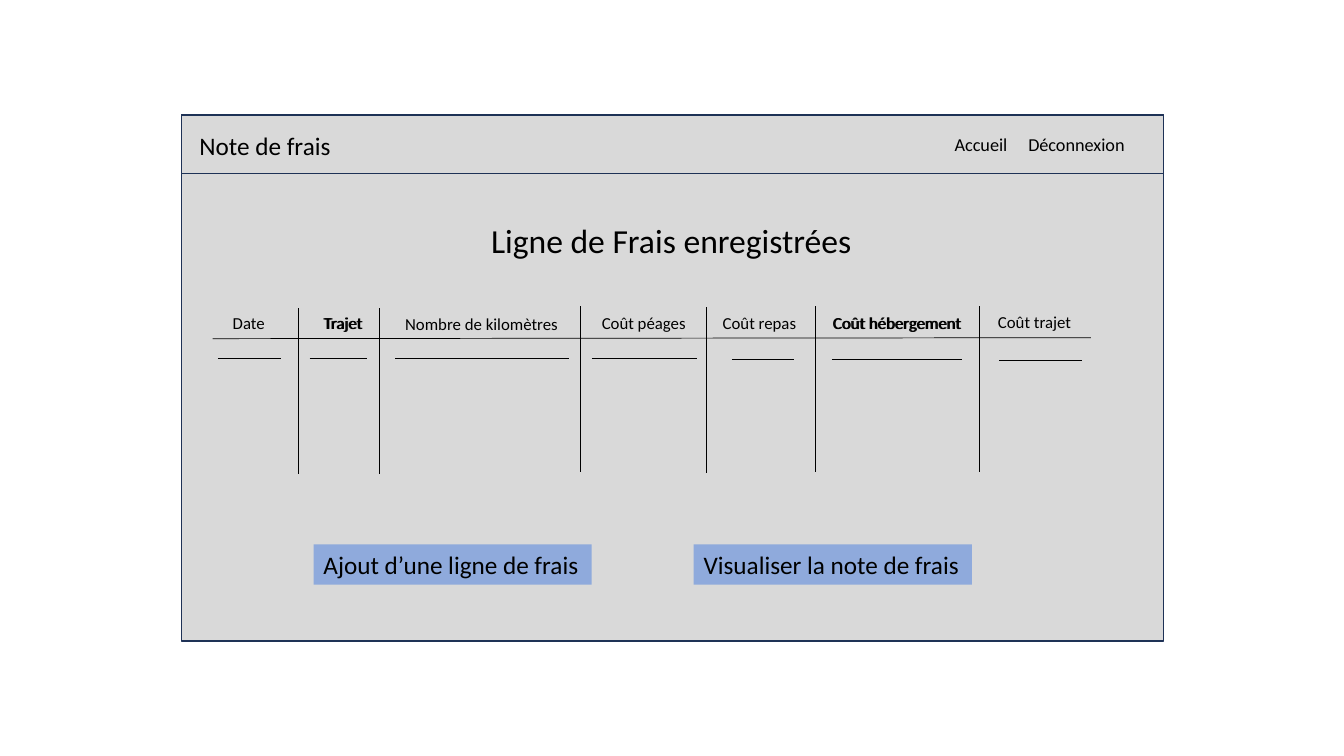
from pptx import Presentation
from pptx.dml.color import RGBColor
from pptx.enum import shapes, text
from pptx.oxml import ns, xmlchemy
from pptx.util import Inches, Pt

GREY = RGBColor(0xD9, 0xD9, 0xD9)
NAVY = RGBColor(0x1E, 0x32, 0x56)
BLUE = RGBColor(0x8F, 0xAA, 0xDC)
BLACK = RGBColor(0, 0, 0)

LABELS = [
    ("Date", 2.21, 3.05, 0.74),
    ("Trajet", 3.12, 3.05, 0.65),
    ("Trajet", 3.11, 3.05, 0.65),
    ("Nombre de kilomètres", 3.92, 3.06, 1.72),
    ("Coût péages", 5.87, 3.05, 1.05),
    ("Coût repas", 7.07, 3.05, 0.94),
    ("Coût hébergement", 8.17, 3.05, 1.48),
    ("Coût hébergement", 8.16, 3.05, 1.48),
    ("Coût trajet", 9.8, 3.04, 0.94),
]
RULES = [(2.96, 3.06), (3.76, 3.06), (5.76, 3.04),
         (7.01, 3.05), (8.09, 3.04), (9.71, 3.04)]
DASHES = [(2.16, 2.79, 3.56), (3.07, 3.64, 3.56), (3.92, 5.64, 3.56),
          (5.87, 6.91, 3.56), (7.26, 7.88, 3.57), (8.25, 9.54, 3.57),
          (9.91, 10.73, 3.58)]
RULE_H = 1.64


def write(shape, words, size):
    frame = shape.text_frame
    frame.text = words
    frame.word_wrap = True
    frame.auto_size = text.MSO_AUTO_SIZE.SHAPE_TO_FIT_TEXT
    frame.vertical_anchor = text.MSO_ANCHOR.TOP
    frame.margin_right = 0
    para = frame.paragraphs[0]
    para.alignment = text.PP_ALIGN.LEFT
    font = para.runs[0].font
    font.name = "Calibri"
    font.size = Pt(size)
    font.color.rgb = BLACK


def add_label(slide, words, x, y, w, h, size):
    box = slide.shapes.add_textbox(Inches(x), Inches(y), Inches(w), Inches(h))
    write(box, words, size)


def add_rect(slide, x, y, w, h, fill, edge=None):
    rect = slide.shapes.add_shape(shapes.MSO_SHAPE.RECTANGLE, Inches(x),
                                  Inches(y), Inches(w), Inches(h))
    rect.shadow.inherit = False
    rect.fill.solid()
    rect.fill.fore_color.rgb = fill
    if edge is None:
        rect.line.fill.background()
    else:
        rect.line.color.rgb = edge
        rect.line.width = Pt(1)
    return rect


def add_line(slide, x1, y1, x2, y2):
    line = slide.shapes.add_connector(shapes.MSO_CONNECTOR.STRAIGHT, Inches(x1),
                                      Inches(y1), Inches(x2), Inches(y2))
    line.line.color.rgb = BLACK
    line.line.width = Pt(0.5)
    line.element.spPr.append(xmlchemy.OxmlElement("a:effectLst"))


def set_title(slide, words, below):
    title = slide.shapes.title
    title.left, title.top = Inches(4.77), Inches(2.13)
    title.width, title.height = Inches(3.79), Inches(0.5)
    write(title, words, 24)
    below.element.addnext(title.element)


def main():
    deck = Presentation()
    deck.slide_width, deck.slide_height = Inches(13.33), Inches(7.5)
    slide = deck.slides.add_slide(deck.slide_layouts.get_by_name("Title Only"))

    add_rect(slide, 1.8, 1.14, 9.74, 5.22, GREY, NAVY)
    header = add_rect(slide, 1.8, 1.14, 9.74, 0.58, GREY, NAVY)
    set_title(slide, "Ligne de Frais enregistrées", header)
    add_label(slide, "Note de frais", 1.88, 1.24, 1.68, 0.4, 18)
    add_label(slide, "Accueil", 9.37, 1.27, 0.73, 0.32, 13)
    add_label(slide, "Déconnexion", 10.1, 1.27, 1.18, 0.32, 13)

    for words, x, y, w in LABELS:
        add_label(slide, words, x, y, w, 0.3, 12)
    add_line(slide, 2.11, 3.36, 10.82, 3.35)
    for x, y in RULES:
        add_line(slide, x, y, x, y + RULE_H)
    for left, right, y in DASHES:
        add_line(slide, left, y, right, y)

    for words, x in [("Ajout d’une ligne de frais", 3.11),
                     ("Visualiser la note de frais", 6.88)]:
        write(add_rect(slide, x, 5.4, 2.76, 0.4, BLUE), words, 18)

    deck.save("out.pptx")


if __name__ == "__main__":
    main()
